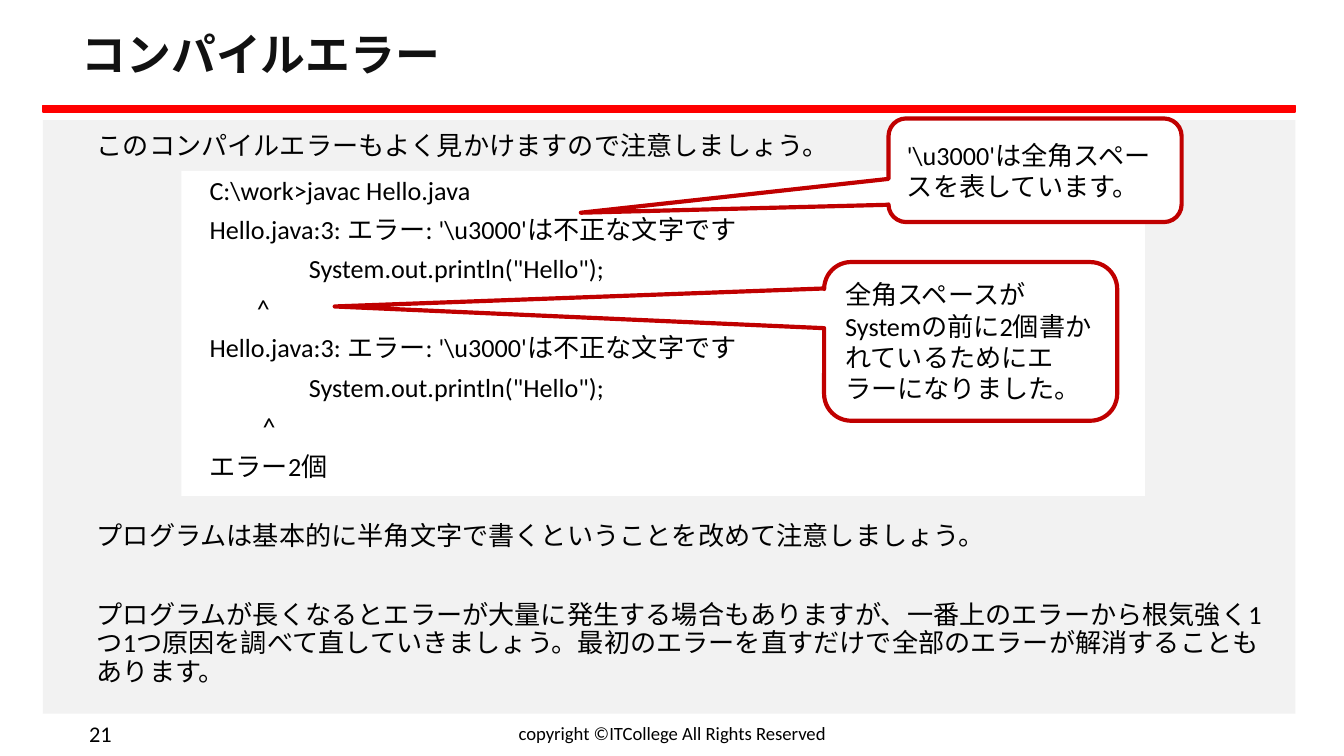
from dataclasses import dataclass

from pptx import Presentation as Deck
from pptx.dml.color import RGBColor as Rgb
from pptx.enum.shapes import MSO_SHAPE as Form
from pptx.enum.text import MSO_ANCHOR as Anchor, PP_ALIGN as Align
from pptx.util import Pt


@dataclass(frozen=True)
class Theme:
    font: str = "Calibri"
    ink: str = "000000"
    head: str = "111111"
    panel: str = "F2F2F2"
    paper: str = "FFFFFF"
    bar: str = "FF0000"
    edge: str = "C00000"
    title: int = 24
    body: int = 14
    page: int = 12
    foot: int = 10


THEME = Theme()


def write(shape, text, size=THEME.body, color=THEME.ink, bold=False,
          align=Align.LEFT, anchor=Anchor.TOP, inset=(7.2, 3.6),
          indent=0, pitch=None, gap=0):
    frame = shape.text_frame
    frame.word_wrap = True
    frame.vertical_anchor = anchor
    frame.margin_left = frame.margin_right = Pt(inset[0])
    frame.margin_top = frame.margin_bottom = Pt(inset[1])
    for i, line in enumerate(text.split("\n")):
        para = frame.paragraphs[0] if i == 0 else frame.add_paragraph()
        if indent:
            para._p.get_or_add_pPr().set("marL", str(Pt(indent)))
        para.alignment = align
        if pitch:
            para.line_spacing = pitch
        if i and gap:
            para.space_before = Pt(gap)
        run = para.add_run()
        run.text = line
        font = run.font
        font.name = THEME.font
        font.size = Pt(size)
        font.bold = bold
        font.color.rgb = Rgb.from_string(color)


class Page:
    def __init__(self, slide, theme):
        self.shapes = slide.shapes
        self.theme = theme

    def block(self, box, fill, line=None, width=1, form=Form.RECTANGLE):
        shape = self.shapes.add_shape(form, *map(Pt, box))
        shape.shadow.inherit = False
        shape.fill.solid()
        shape.fill.fore_color.rgb = Rgb.from_string(fill)
        if line:
            shape.line.color.rgb = Rgb.from_string(line)
            shape.line.width = Pt(width)
        else:
            shape.line.fill.background()
        return shape

    def label(self, box, text, **style):
        write(self.shapes.add_textbox(*map(Pt, box)), text, **style)

    def prose(self, box, text, gap=6):
        self.label(box, text, indent=8, pitch=0.9, gap=gap)

    def code(self, box, text):
        shape = self.block(box, self.theme.paper)
        write(shape, text, indent=8, pitch=0.9, gap=6)

    def callout(self, box, tip, text):
        shape = self.block(box, self.theme.paper, self.theme.edge, 2.25,
                           Form.ROUNDED_RECTANGULAR_CALLOUT)
        for i, value in enumerate((*tip, 0.17)):
            shape.adjustments[i] = value
        write(shape, text, anchor=Anchor.MIDDLE)


ERROR = r"Hello.java:3: エラー: '\u3000'は不正な文字です"
CALL = '        　　System.out.println("Hello");'
LOG = "\n".join([
    r"C:\work>javac Hello.java",
    ERROR, CALL, "        ^",
    ERROR, CALL, "         ^",
    "エラー2個",
])
ADVICE = "\n".join([
    "プログラムは基本的に半角文字で書くということを改めて注意しましょう。",
    "プログラムが長くなるとエラーが大量に発生する場合もありますが、"
    "一番上のエラーから根気強く1つ1つ原因を調べて直していきましょう。"
    "最初のエラーを直すだけで全部のエラーが解消することもあります。",
])


def main():
    deck = Deck()
    deck.slide_width, deck.slide_height = Pt(720), Pt(405)
    page = Page(deck.slides.add_slide(deck.slide_layouts[6]), THEME)
    left, wide = 36.7, 647.3

    page.block((23, 64.4, 671, 318), THEME.panel)
    page.block((23, 56.5, 671, 3.6), THEME.bar, THEME.bar)
    page.label((238.5, 383, 243, 20),
               "copyright ©ITCollege All Rights Reserved",
               size=THEME.foot, align=Align.CENTER, anchor=Anchor.MIDDLE)
    page.label((17.3, 383, 49.7, 20), "21",
               size=THEME.page, align=Align.RIGHT, anchor=Anchor.MIDDLE)

    page.label((left, 9.4, wide, 42.5), "コンパイルエラー",
               size=THEME.title, color=THEME.head, bold=True, pitch=0.9,
               anchor=Anchor.MIDDLE, inset=(7.2, 7.2))
    page.prose((left, 67.7, wide, 26.6),
               "このコンパイルエラーもよく見かけますので注意しましょう。")
    page.code((97.2, 91.5, 516.2, 174.2), LOG)
    page.callout((441.5, 140.4, 157, 85), (-2.17, -0.22),
                 "全角スペースがSystemの前に2個書かれているためにエラーになりました。")
    page.callout((476, 63.5, 157, 55.5), (-1.55, 0.41),
                 r"'\u3000'は全角スペースを表しています。")
    page.prose((left, 276.5, wide, 98), ADVICE, gap=27.4)

    deck.save("out.pptx")


if __name__ == "__main__":
    main()
